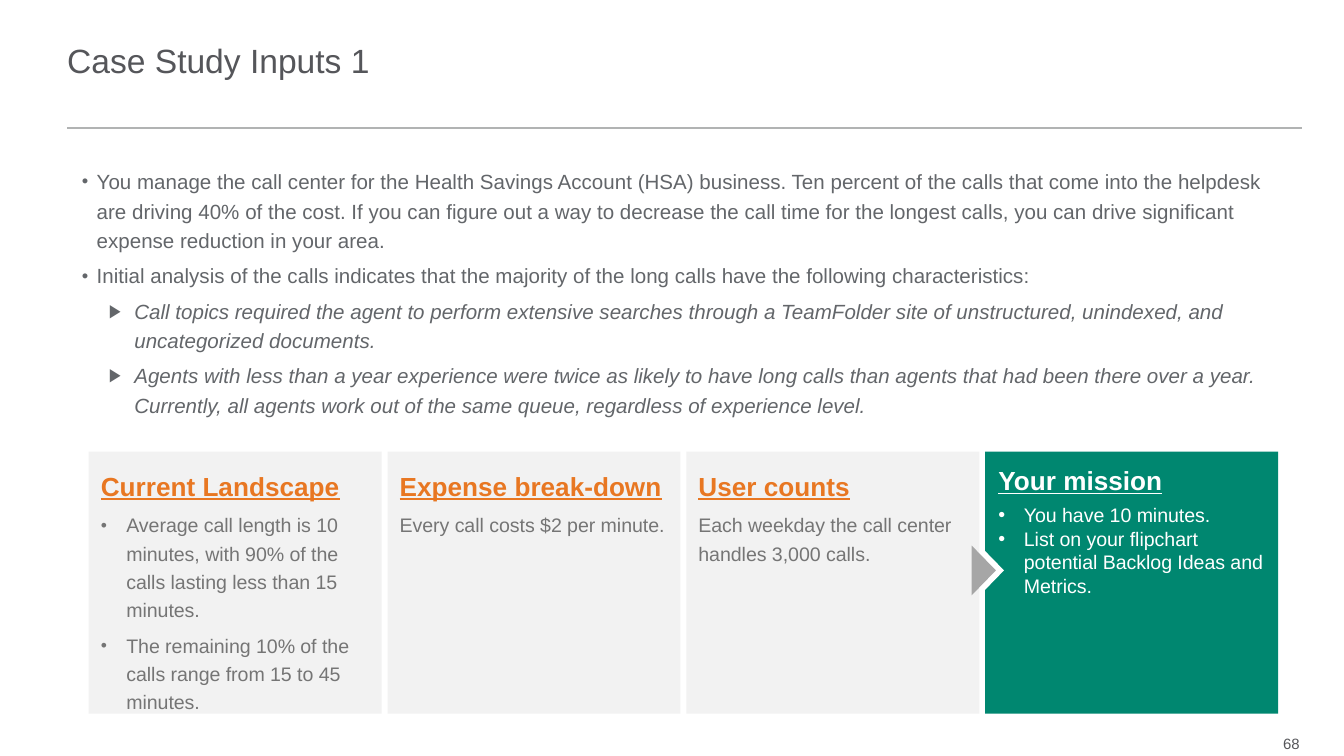
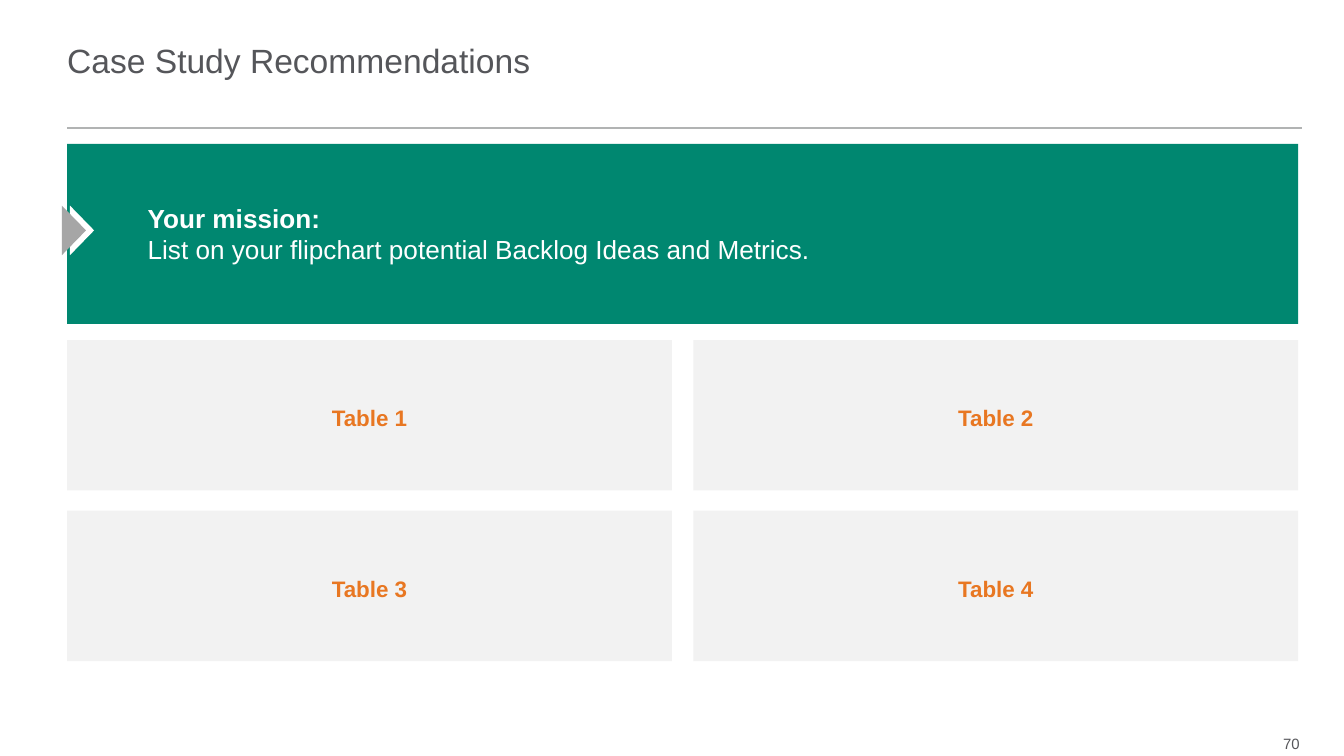
from lxml import etree
from pptx import Presentation
from pptx import util as u
from pptx.dml.color import RGBColor
from pptx.enum import shapes, text
from pptx.oxml.ns import qn

WIDTH = 10
HEIGHT = WIDTH * 9 / 16
LEFT = 0.5
FONT = "Arial"
GREEN, PALE, ORANGE, WHITE = "008770", "F2F2F2", "E87722", "FFFFFF"
INK, BODY, MUTED, RULE, ARROW = "55565A", "63666A", "757575", "B1B3B3", "A6A6A6"
MIDDLE = text.MSO_ANCHOR.MIDDLE
TOP = text.MSO_ANCHOR.TOP

TITLE = dict(size=18, color=INK)
PAGE = dict(size=8, color=INK, align=text.PP_ALIGN.RIGHT)
POINT = dict(size=11, color=BODY, bullet="•", bullet_size=90, indent=(0.11, -0.11),
             spacing=1.2, after=3)
SUBPOINT = {**POINT, "bullet": "▶", "indent": (0.39, -0.19), "italic": True}
HEADING = dict(size=14, color=ORANGE, bold=True, underline=True, spacing=1.2, after=4)
CARD_TEXT = dict(size=10.5, color=MUTED, spacing=1.2, after=4)
CARD_POINT = {**CARD_TEXT, "bullet": "•", "bullet_size": 90, "indent": (0.19, -0.19)}
MISSION_HEADING = {**HEADING, "color": WHITE}
MISSION_POINT = dict(size=10.5, color=WHITE, bullet="•", indent=(0.19, -0.19))
BANNER_TEXT = dict(size=14, color=WHITE, indent=(0.5, 0))
BANNER_HEADING = {**BANNER_TEXT, "bold": True}
TABLE_LABEL = dict(size=12, color=ORANGE, bold=True, spacing=1.2, after=4,
                   align=text.PP_ALIGN.CENTER)

BACKGROUND = [
    ("You manage the call center for the Health Savings Account (HSA) business. Ten percent "
     "of the calls that come into the helpdesk are driving 40% of the cost. If you can figure "
     "out a way to decrease the call time for the longest calls, you can drive significant "
     "expense reduction in your area.", POINT),
    ("Initial analysis of the calls indicates that the majority of the long calls have the "
     "following characteristics:", POINT),
    ("Call topics required the agent to perform extensive searches through a TeamFolder site "
     "of unstructured, unindexed, and uncategorized documents.", SUBPOINT),
    ("Agents with less than a year experience were twice as likely to have long calls than "
     "agents that had been there over a year. Currently, all agents work out of the same "
     "queue, regardless of experience level.", SUBPOINT),
]
INPUTS = [
    [("Current Landscape", HEADING),
     ("Average call length is 10 minutes, with 90% of the calls lasting less than 15 minutes.",
      CARD_POINT),
     ("The remaining 10% of the calls range from 15 to 45 minutes.",
      {**CARD_POINT, "after": 0})],
    [("Expense break-down", HEADING), ("Every call costs $2 per minute.", CARD_TEXT)],
    [("User counts", HEADING),
     ("Each weekday the call center handles 3,000 calls.", CARD_TEXT)],
]
MISSION = [
    ("Your mission", MISSION_HEADING),
    ("You have 10 minutes.", MISSION_POINT),
    ("List on your flipchart potential Backlog Ideas and Metrics.", MISSION_POINT),
]
BANNER = [
    ("Your mission:", BANNER_HEADING),
    ("List on your flipchart potential Backlog Ideas and Metrics.", BANNER_TEXT),
]
TABLES = ["Table 1", "Table 2", "Table 3", "Table 4"]


def rgb(code):
    return RGBColor.from_string(code)


def style_paragraph(paragraph, size, color, bold=False, italic=False, underline=False,
                    align=text.PP_ALIGN.LEFT, spacing=1.0, after=0,
                    bullet=None, bullet_size=100, indent=(0, 0)):
    paragraph.alignment = align
    paragraph.line_spacing = spacing
    paragraph.space_before = u.Pt(0)
    paragraph.space_after = u.Pt(after)
    props = paragraph._p.get_or_add_pPr()
    margin, hanging = indent
    props.set("marL", str(u.Inches(margin)))
    props.set("indent", str(u.Inches(hanging)))
    if bullet:
        etree.SubElement(props, qn("a:buSzPct"), val=str(bullet_size * 1000))
        etree.SubElement(props, qn("a:buFont"), typeface=FONT)
        etree.SubElement(props, qn("a:buChar"), char=bullet)
    font = paragraph.font
    font.name, font.size = FONT, u.Pt(size)
    font.bold, font.italic, font.underline = bold, italic, underline
    font.color.rgb = rgb(color)


def write(shape, lines, anchor, insets):
    frame = shape.text_frame
    frame.word_wrap = True
    frame.vertical_anchor = anchor
    across, down = (u.Inches(inset) for inset in insets)
    frame.margin_left = frame.margin_right = across
    frame.margin_top = frame.margin_bottom = down
    for i, (words, style) in enumerate(lines):
        paragraph = frame.add_paragraph() if i else frame.paragraphs[0]
        paragraph.text = words
        style_paragraph(paragraph, **style)


def paint(shape, color):
    shape.shadow.inherit = False
    shape.fill.solid()
    shape.fill.fore_color.rgb = rgb(color)
    shape.line.fill.background()


def add_text(slide, box, lines, anchor=MIDDLE, insets=(0, 0)):
    write(slide.shapes.add_textbox(*map(u.Inches, box)), lines, anchor, insets)


def add_panel(slide, box, color, lines, anchor=MIDDLE, insets=(0.09, 0.09)):
    panel = slide.shapes.add_shape(shapes.MSO_SHAPE.RECTANGLE, *map(u.Inches, box))
    paint(panel, color)
    write(panel, lines, anchor, insets)


def add_pointer(slide, left, top, width=0.18, height=0.37, offset=0.06):
    for x, color in ((left + offset, WHITE), (left, ARROW)):
        outline = slide.shapes.build_freeform(u.Inches(x), u.Inches(top))
        outline.add_line_segments([
            (u.Inches(x), u.Inches(top + height)),
            (u.Inches(x + width), u.Inches(top + height / 2)),
        ], close=True)
        paint(outline.convert_to_shape(), color)


def add_page(deck, title, number):
    slide = deck.slides.add_slide(deck.slide_layouts[6])
    rule = slide.shapes.add_connector(
        shapes.MSO_CONNECTOR.STRAIGHT, *map(u.Inches, (LEFT, 0.95, 9.69, 0.95)))
    rule.line.color.rgb = rgb(RULE)
    rule.line.width = u.Pt(1)
    etree.SubElement(rule._element.spPr, qn("a:effectLst"))
    add_text(slide, (LEFT, 0.08, 7.33, 0.73), [(title, TITLE)])
    add_text(slide, (9.25, 5.43, 0.42, 0.2), [(number, PAGE)])
    return slide


def build_inputs(deck):
    slide = add_page(deck, "Case Study Inputs 1", "68")
    add_text(slide, (LEFT, 1.1, 9.17, 2.13), BACKGROUND, insets=(0.11, 0.11))
    first, last, top, width, height = 0.66, 7.33, 3.36, 2.18, 1.95
    pitch = (last - first) / len(INPUTS)
    for column, lines in enumerate(INPUTS):
        add_panel(slide, (first + column * pitch, top, width, height), PALE, lines, TOP)
    add_panel(slide, (last, top, width, height), GREEN, MISSION, TOP, (0.1, 0.05))
    add_pointer(slide, last - 0.1, 4.06)


def build_recommendations(deck):
    slide = add_page(deck, "Case Study Recommendations", "70")
    add_panel(slide, (LEFT, 1.07, 9.16, 1.34), GREEN, BANNER, insets=(0.1, 0.05))
    add_pointer(slide, LEFT - 0.04, 1.53)
    top, width, height, gap_x, gap_y = 2.53, 4.5, 1.12, 0.16, 0.15
    for i, label in enumerate(TABLES):
        row, column = divmod(i, 2)
        box = (LEFT + column * (width + gap_x), top + row * (height + gap_y), width, height)
        add_panel(slide, box, PALE, [(label, TABLE_LABEL)])


def main():
    deck = Presentation()
    deck.slide_width, deck.slide_height = u.Inches(WIDTH), u.Inches(HEIGHT)
    build_inputs(deck)
    build_recommendations(deck)
    deck.save("out.pptx")


if __name__ == "__main__":
    main()
